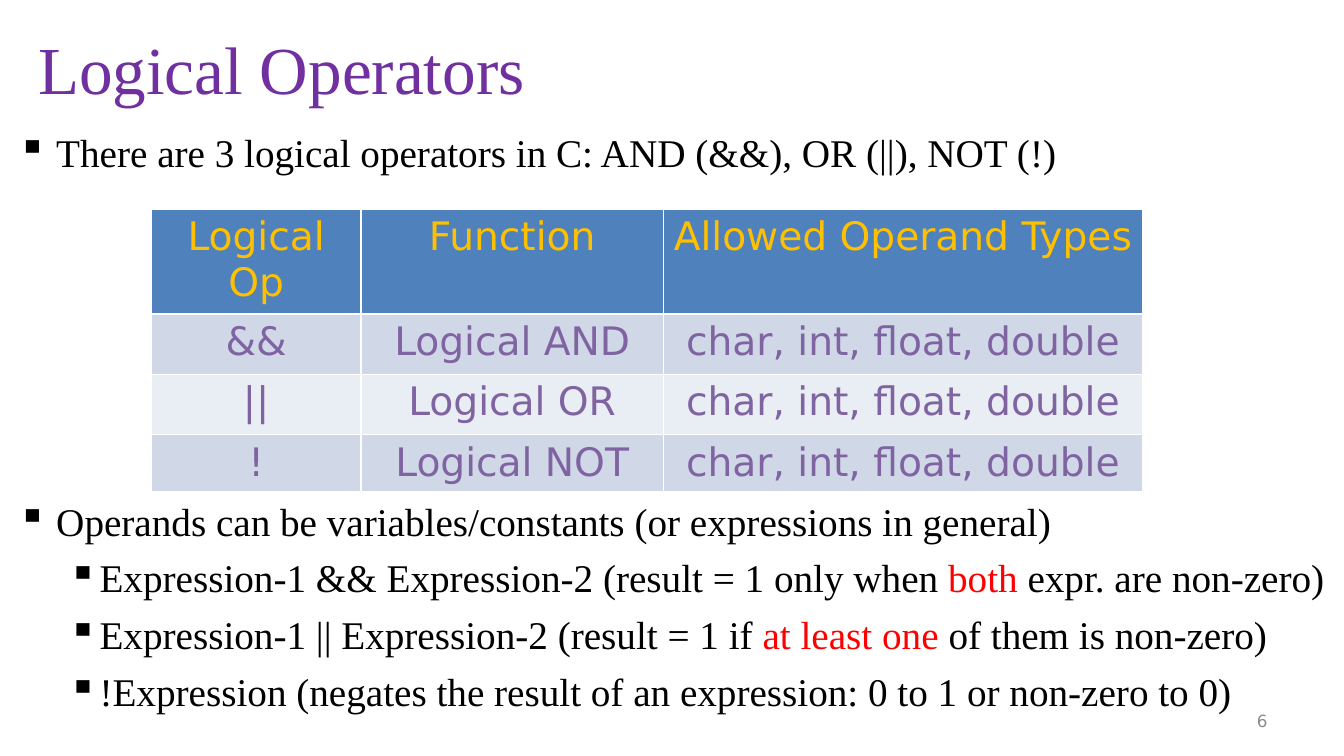
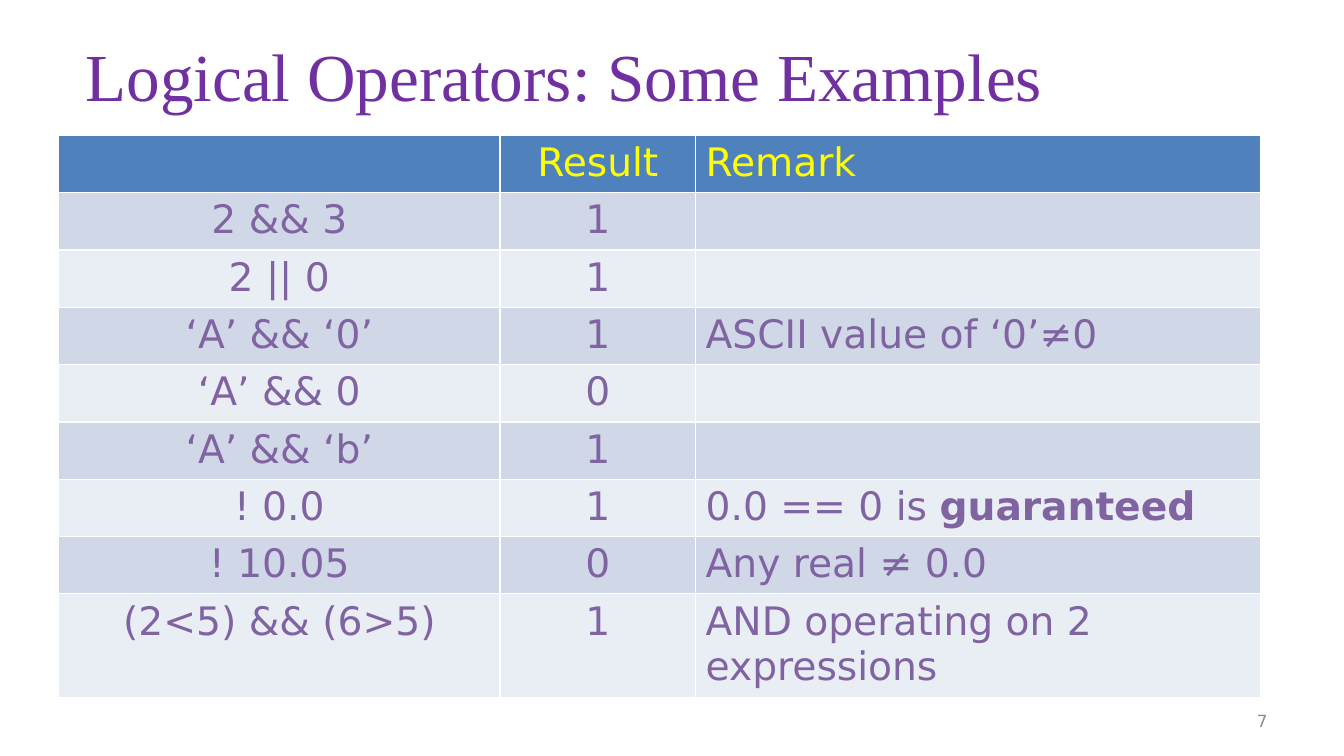
from dataclasses import dataclass

from lxml.etree import SubElement
from pptx import Presentation
from pptx.dml.color import RGBColor
from pptx.enum.text import MSO_ANCHOR as Anchor, PP_ALIGN as Align
from pptx.oxml.ns import qn
from pptx.util import Inches, Pt

COLORS = {
    "title": "7030A0", "text": "000000", "accent": "FF0000", "number": "8C8C8C",
    "head": "4F81BD", "band_dark": "D0D8E8", "band_light": "E9EDF4",
    "cell": "8064A2", "gold": "FFC000", "yellow": "FFFF00",
}
SERIF, SANS = "Times New Roman", "DejaVu Sans"
BODY_SIZE = 28


@dataclass(frozen=True)
class Box:
    left: float
    top: float
    width: float
    height: float

    def emu(self) -> tuple:
        return tuple(Inches(v) for v in (self.left, self.top, self.width, self.height))


@dataclass(frozen=True)
class Run:
    text: str
    color: str = "text"
    bold: bool = False


@dataclass(frozen=True)
class Bullet:
    runs: tuple
    level: int = 0


@dataclass(frozen=True)
class Grid:
    box: Box
    widths: tuple
    heights: tuple
    head_color: str
    aligns: tuple
    rows: tuple


# Shared drawing functions
def add_run(p, run: Run, font: str, size: float) -> None:
    r = p.add_run()
    r.text = run.text
    r.font.name, r.font.size, r.font.bold = font, Pt(size), run.bold
    r.font.color.rgb = RGBColor.from_string(COLORS[run.color])


def add_text_frame(s, box: Box, anchor=Anchor.TOP):
    tf = s.shapes.add_textbox(*box.emu()).text_frame
    tf.word_wrap = True
    tf.vertical_anchor = anchor
    return tf


def add_title(s, text: str, box: Box) -> None:
    tf = add_text_frame(s, box, Anchor.MIDDLE)
    add_run(tf.paragraphs[0], Run(text, "title"), SERIF, 48)


def add_number(s, number: int) -> None:
    p = add_text_frame(s, Box(9.56, 6.95, 3.11, 0.4), Anchor.MIDDLE).paragraphs[0]
    p.alignment = Align.RIGHT
    add_run(p, Run(str(number), "number"), SANS, 12)


def add_bullets(s, box: Box, bullets: tuple) -> None:
    tf = add_text_frame(s, box)
    for i, bullet in enumerate(bullets):
        p = tf.add_paragraph() if i else tf.paragraphs[0]
        p.level = bullet.level
        p.space_before = Pt(7 if i else 0)
        margin, hang = ((0.38, 0.38), (0.81, 0.31))[bullet.level]
        pPr = p._p.get_or_add_pPr()
        pPr.set("marL", str(Inches(margin)))
        pPr.set("indent", str(-Inches(hang)))
        SubElement(pPr, qn("a:buChar")).set("char", "▪")
        for run in bullet.runs:
            add_run(p, run, SERIF, BODY_SIZE)


def add_grid(s, grid: Grid) -> None:
    table = s.shapes.add_table(len(grid.rows), len(grid.widths), *grid.box.emu()).table
    for col, width in zip(table.columns, grid.widths):
        col.width = Inches(width)
    for i, (row, height) in enumerate(zip(grid.rows, grid.heights)):
        table.rows[i].height = Inches(height)
        fill = ("band_dark" if i % 2 else "band_light") if i else "head"
        color = "cell" if i else grid.head_color
        for j, content in enumerate(row):
            cell = table.cell(i, j)
            cell.fill.solid()
            cell.fill.fore_color.rgb = RGBColor.from_string(COLORS[fill])
            p = cell.text_frame.paragraphs[0]
            p.alignment = grid.aligns[j]
            if isinstance(content, str):
                content = (Run(content, color),) if content else ()
            for run in content:
                add_run(p, run, SANS, BODY_SIZE)


# Content
TYPES = "char, int, float, double"
OPERATORS = Grid(
    Box(1.5, 2.08, 9.83, 2.75), (2.08, 3, 4.75), (1, 0.6, 0.6, 0.55),
    "gold", (Align.CENTER,) * 3,
    (
        ("Logical Op", "Function", "Allowed Operand Types"),
        ("&&", "Logical AND", TYPES),
        ("||", "Logical OR", TYPES),
        ("!", "Logical NOT", TYPES),
    ),
)
EXAMPLES = Grid(
    Box(0.58, 1.34, 11.92, 5.5), (4.38, 1.94, 5.6),
    (0.57, 0.57, 0.57, 0.56, 0.57, 0.57, 0.56, 0.56, 1),
    "yellow", (Align.CENTER, Align.CENTER, Align.LEFT),
    (
        ("", "Result", "Remark"),
        ("2 && 3", "1", ""),
        ("2 || 0", "1", ""),
        ("‘A’ && ‘0’", "1", "ASCII value of ‘0’≠0"),
        ("‘A’ && 0", "0", ""),
        ("‘A’ && ‘b’", "1", ""),
        ("! 0.0", "1", (Run("0.0 == 0 is ", "cell"), Run("guaranteed", "cell", True))),
        ("! 10.05", "0", "Any real ≠ 0.0"),
        ("(2<5) && (6>5)", "1", "AND operating on 2 expressions"),
    ),
)
INTRO = (Bullet((Run("There are 3 logical operators in C: AND (&&), OR (||), NOT (!)"),)),)
DETAILS = (
    Bullet((Run("Operands can be variables/constants (or expressions in general)"),)),
    Bullet((Run("Expression-1 && Expression-2 (result = 1 only when "),
            Run("both", "accent"), Run(" expr. are non-zero)")), 1),
    Bullet((Run("Expression-1 || Expression-2 (result = 1 if "),
            Run("at least one ", "accent"), Run("of them is non-zero)")), 1),
    Bullet((Run("!Expression (negates the result of an expression: 0 to 1 or non-zero to 0)"),), 1),
)


def main() -> None:
    prs = Presentation()
    prs.slide_width, prs.slide_height = Inches(13.33), Inches(7.5)
    blank = prs.slide_layouts[6]

    # Operators and their operands
    s = prs.slides.add_slide(blank)
    add_title(s, "Logical Operators", Box(0.28, 0.17, 8.5, 1))
    add_grid(s, OPERATORS)
    add_number(s, 6)
    add_bullets(s, Box(0.08, 1.22, 13.2, 0.6), INTRO)
    add_bullets(s, Box(0.08, 4.88, 13.2, 2.3), DETAILS)

    # Worked examples
    s = prs.slides.add_slide(blank)
    add_title(s, "Logical Operators: Some Examples", Box(0.75, 0.33, 9.92, 0.83))
    add_grid(s, EXAMPLES)
    add_number(s, 7)

    prs.save("out.pptx")


if __name__ == "__main__":
    main()
